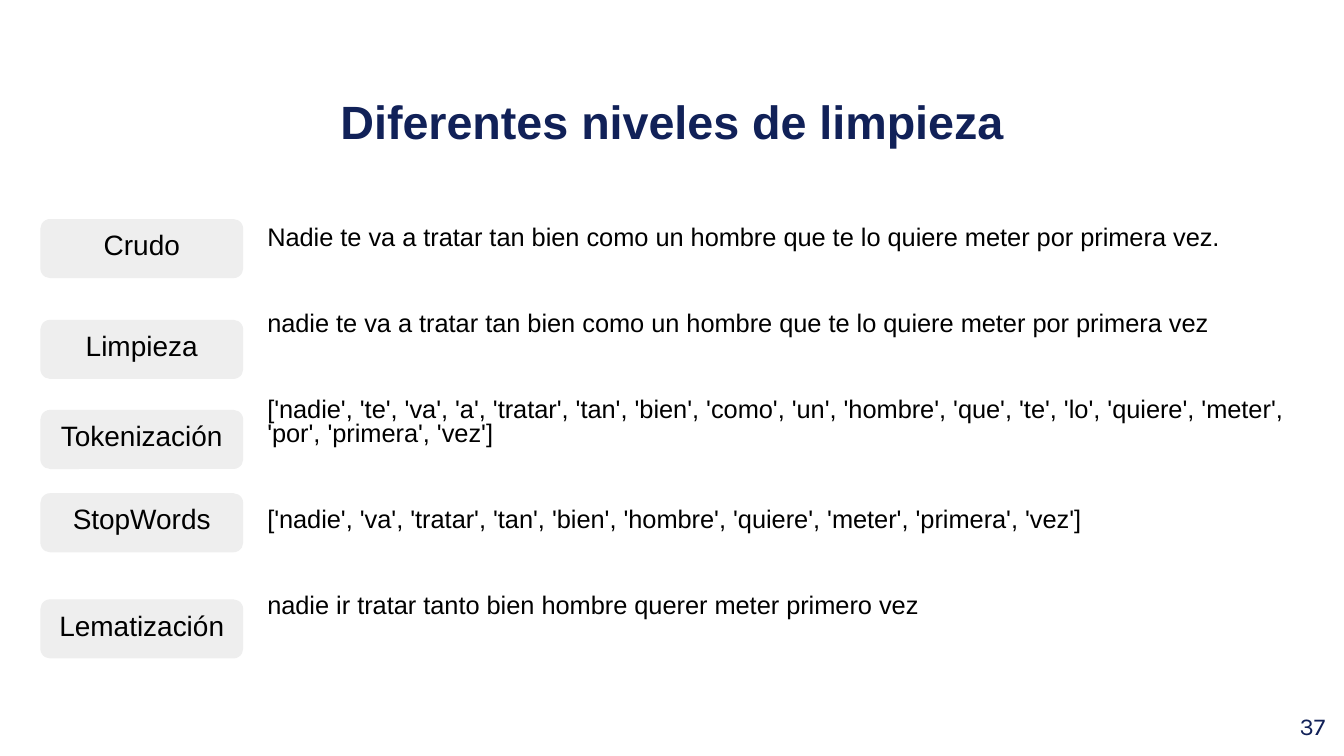
from pptx import Presentation
from pptx.dml.color import RGBColor
from pptx.enum import shapes, text
from pptx.util import Inches, Pt

NAVY = "112158"
BLACK = "000000"
GREY = "EEEEEE"
LEVELS = [
    ("Crudo", 0.04, "Nadie te va a tratar tan bien como un hombre que te lo quiere meter por primera vez."),
    ("Limpieza", 0.79, "nadie te va a tratar tan bien como un hombre que te lo quiere meter por primera vez"),
    ("Tokenización", 1.46, "['nadie', 'te', 'va', 'a', 'tratar', 'tan', 'bien', 'como', 'un', 'hombre', 'que', 'te', 'lo', 'quiere', 'meter', 'por', 'primera', 'vez']"),
    ("StopWords", 2.08, "['nadie', 'va', 'tratar', 'tan', 'bien', 'hombre', 'quiere', 'meter', 'primera', 'vez']"),
    ("Lematización", 2.87, "nadie ir tratar tanto bien hombre querer meter primero vez"),
]


def color(code):
    return RGBColor.from_string(code)


def write(shape, *lines, size, font="Arial", ink=BLACK, bold=False,
          align="LEFT", anchor="TOP", lead=1.0, gap=0, indent=0):
    frame = shape.text_frame
    frame.word_wrap = True
    frame.vertical_anchor = getattr(text.MSO_ANCHOR, anchor)
    frame.margin_left = frame.margin_right = Inches(0.1)
    frame.margin_top = frame.margin_bottom = Inches(0.1)
    for index, line in enumerate(lines):
        para = frame.add_paragraph() if index else frame.paragraphs[0]
        para._p.get_or_add_pPr().set("marL", str(Inches(indent)))
        para.alignment = getattr(text.PP_ALIGN, align)
        para.line_spacing = lead
        para.space_before = Pt(gap if index else 0)
        run = para.add_run()
        run.text = line
        run.font.name = font
        run.font.size = Pt(size)
        run.font.bold = bold
        run.font.color.rgb = color(ink)


def label(slide, box, *lines, **style):
    write(slide.shapes.add_textbox(*map(Inches, box)), *lines, **style)


def badge(slide, box, name):
    shape = slide.shapes.add_shape(shapes.MSO_SHAPE.ROUNDED_RECTANGLE, *map(Inches, box))
    shape.shadow.inherit = False
    shape.fill.solid()
    shape.fill.fore_color.rgb = color(GREY)
    shape.line.fill.background()
    write(shape, name, size=15, align="CENTER", anchor="BOTTOM", lead=0.9)


def levels(slide, box):
    left, top, width, height = box
    inset = 0.09
    label(slide, (left + inset, top, width - inset, height),
          *[line for _, _, line in LEVELS],
          size=13.6, lead=0.8, gap=33, indent=1.5)
    for name, drop, _ in LEVELS:
        badge(slide, (left, top + drop, 1.51, 0.44), name)


def main():
    deck = Presentation()
    deck.slide_width = Inches(10)
    deck.slide_height = deck.slide_width * 9 // 16
    slide = deck.slides.add_slide(deck.slide_layouts[6])
    label(slide, (9.36, 5.19, 0.6, 0.43), "37",
          size=13, font="Karla", ink=NAVY, align="RIGHT")
    levels(slide, (0.3, 1.59, 9.41, 3.74))
    label(slide, (0, 0.59, 10, 0.63), "Diferentes niveles de limpieza",
          size=25, ink=NAVY, bold=True, align="CENTER")
    deck.save("out.pptx")


if __name__ == "__main__":
    main()
